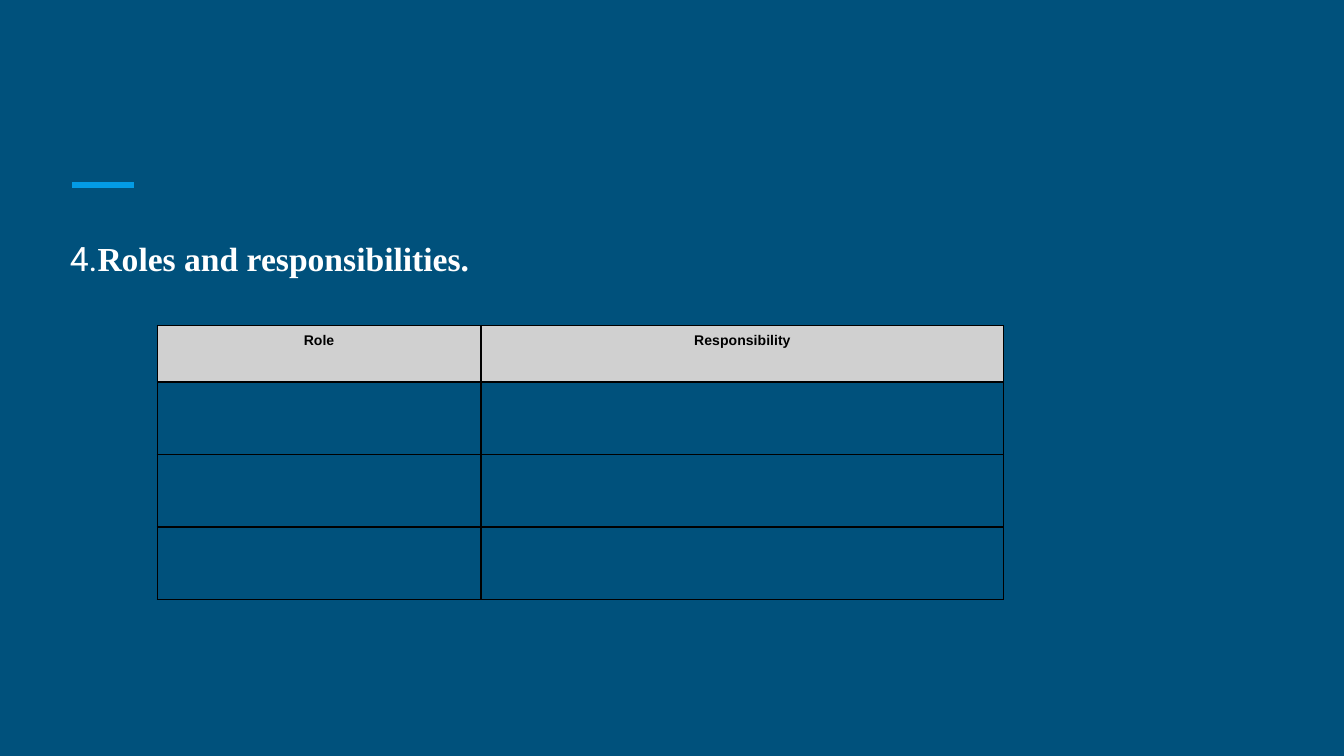
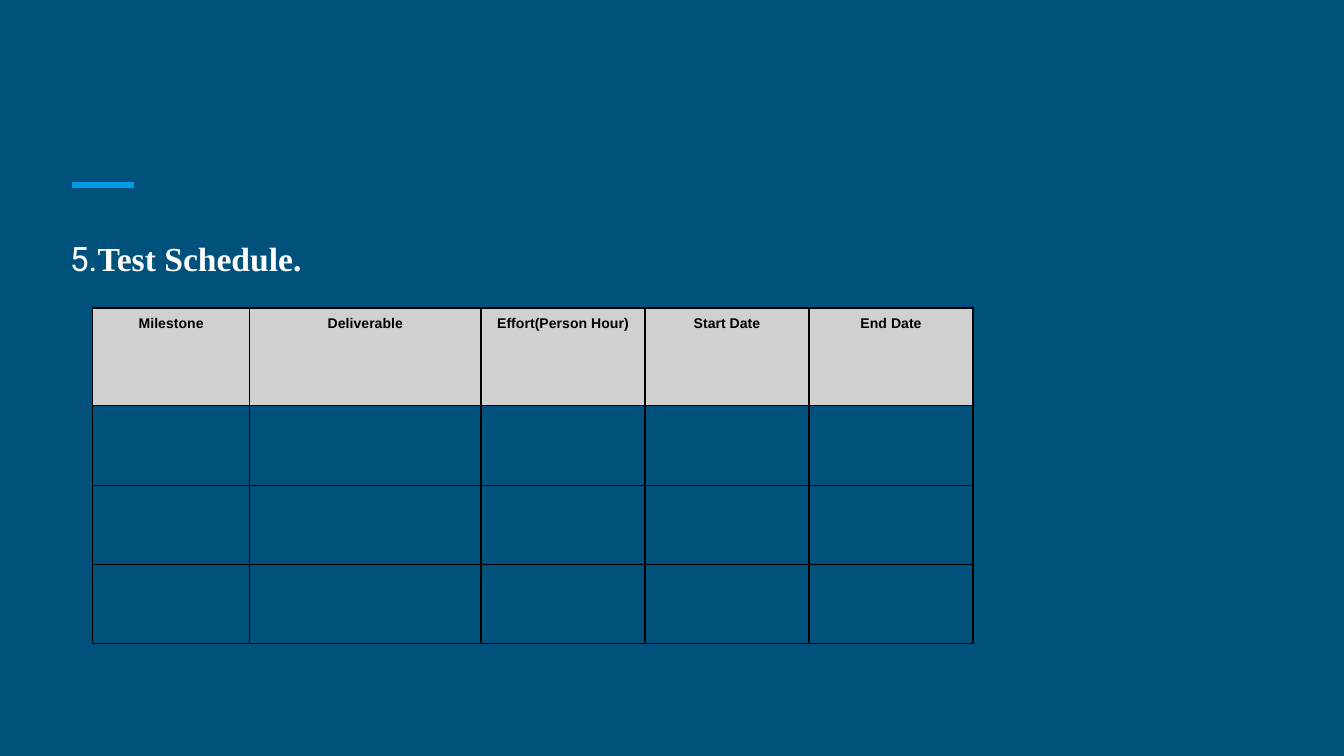
"""Build the roles and schedule slides of a test plan."""
import pptx
import pptx.dml.color
import pptx.enum.shapes
import pptx.enum.text
import pptx.oxml
import pptx.oxml.ns
import pptx.util

Cm = pptx.util.Cm
Pt = pptx.util.Pt


class Deck:
    hues = {"back": "00517C", "dash": "039BE5", "text": "FFFFFF",
            "head": "D0D0D0", "ink": "000000"}

    def __init__(self):
        self.prs = pptx.Presentation()
        self.prs.slide_width = Cm(25.4)
        self.prs.slide_height = Cm(14.29)
        self.slide = None

    def hue(self, name):
        return pptx.dml.color.RGBColor.from_string(self.hues[name])

    def page(self):
        self.slide = self.prs.slides.add_slide(self.prs.slide_layouts[6])
        fill = self.slide.background.fill
        fill.solid()
        fill.fore_color.rgb = self.hue("back")

    def dash(self):
        line = self.slide.shapes.add_connector(
            pptx.enum.shapes.MSO_CONNECTOR.STRAIGHT,
            Cm(1.37), Cm(3.5), Cm(2.54), Cm(3.5))
        line.line.color.rgb = self.hue("dash")
        line.line.width = Pt(3)
        props = line._element.spPr
        props.append(props.makeelement(pptx.oxml.ns.qn("a:effectLst"), {}))

    def run(self, para, text, font, size, hue, bold=False):
        run = para.add_run()
        run.text = text
        run.font.name = font
        run.font.size = Pt(size)
        run.font.bold = bold
        run.font.color.rgb = self.hue(hue)

    def title(self, mark, text):
        box = self.slide.shapes.add_textbox(
            Cm(1.07), Cm(4.14), Cm(23.24), Cm(8.56))
        frame = box.text_frame
        frame.word_wrap = True
        frame.margin_left = frame.margin_right = Cm(0.25)
        frame.margin_top = frame.margin_bottom = Cm(0.25)
        para = frame.paragraphs[0]
        para.line_spacing = 1.15
        para.space_after = Pt(16)
        self.run(para, mark, "Roboto", 18, "text")
        self.run(para, text, "Times New Roman", 18, "text", True)

    def edge(self, cell):
        props = cell._tc.get_or_add_tcPr()
        for spot, side in enumerate("LRTB"):
            props.insert(spot, pptx.oxml.parse_xml(
                f'<a:ln{side} {pptx.oxml.ns.nsdecls("a")} w="{Pt(0.75)}">'
                f'<a:solidFill><a:srgbClr val="{self.hues["ink"]}"/>'
                f'</a:solidFill></a:ln{side}>'))

    def head(self, cell, text):
        cell.fill.solid()
        cell.fill.fore_color.rgb = self.hue("head")
        cell.margin_left = cell.margin_right = Cm(0.1)
        cell.margin_top = cell.margin_bottom = Cm(0.1)
        para = cell.text_frame.paragraphs[0]
        para.alignment = pptx.enum.text.PP_ALIGN.CENTER
        para.line_spacing = 1.15
        para.space_after = Pt(2)
        self.run(para, text, "Arial", 7.5, "ink", True)

    def table(self, left, top, cols, rows):
        grid = self.slide.shapes.add_table(
            len(rows), len(cols), Cm(left), Cm(top),
            Cm(sum(wide for _, wide in cols)), Cm(sum(rows))).table
        grid.first_row = grid.horz_banding = False
        for row, tall in zip(grid.rows, rows):
            row.height = Cm(tall)
        for col, (text, wide) in enumerate(cols):
            grid.columns[col].width = Cm(wide)
            self.head(grid.cell(0, col), text)
            for row in range(1, len(rows)):
                grid.cell(row, col).fill.background()
        for cell in grid.iter_cells():
            self.edge(cell)


def main():
    deck = Deck()
    plan = [
        ("4.", "Roles and responsibilities.", 2.97, 6.15,
         [("Role", 6.12), ("Responsibility", 9.88)],
         [1.07] + [1.37] * 3),
        ("5.", "Test Schedule.", 1.75, 5.82,
         [("Milestone", 2.97), ("Deliverable", 4.37),
          ("Effort(Person Hour)", 3.1), ("Start Date", 3.1),
          ("End Date", 3.1)],
         [1.85] + [1.5] * 3),
    ]
    for mark, text, left, top, cols, rows in plan:
        deck.page()
        deck.dash()
        deck.title(mark, text)
        deck.table(left, top, cols, rows)
    deck.prs.save("out.pptx")


if __name__ == "__main__":
    main()
